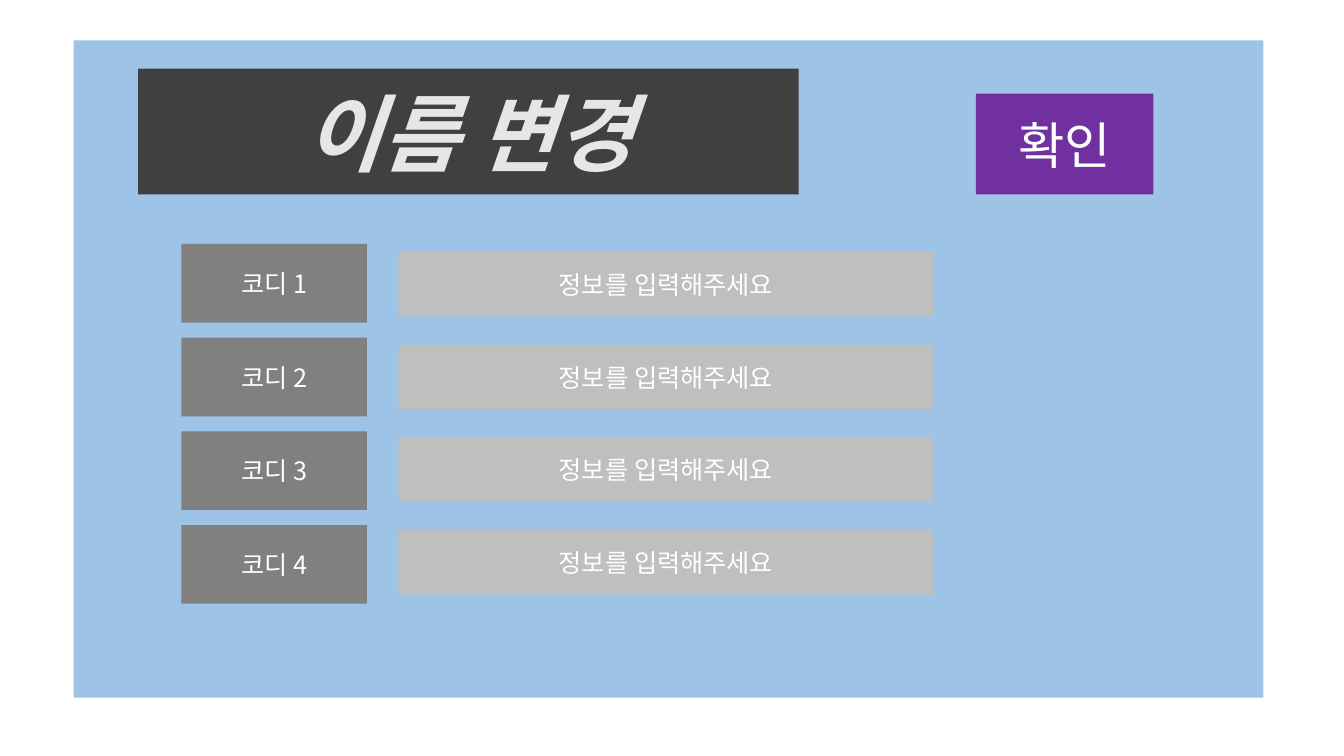
from lxml.etree import SubElement
from pptx import Presentation
from pptx.dml.color import RGBColor as RGB
from pptx.enum.shapes import MSO_SHAPE as Shape
from pptx.enum.text import MSO_ANCHOR as Anchor, PP_ALIGN as Align
from pptx.oxml.ns import qn
from pptx.util import Inches, Pt

WIDTH, HEIGHT = 13.33, 7.5
FACE = "Noto Sans CJK KR"
SKY = RGB(0x9D, 0xC3, 0xE6)
DARK = RGB(0x40, 0x40, 0x40)
GRAY = RGB(0x80, 0x80, 0x80)
SILVER = RGB(0xBF, 0xBF, 0xBF)
PURPLE = RGB(0x70, 0x30, 0xA0)
PALE = RGB(0xE7, 0xE6, 0xE6)
WHITE = RGB(0xFF, 0xFF, 0xFF)
ROWS = 4
LABEL_TOP, LABEL_STEP = 2.42, 0.93
FIELD_TOP, FIELD_STEP = 2.5, 0.92


def add_box(slide, area, fill):
    """Add a plain filled rectangle at left, top, width, height in inches."""
    box = slide.shapes.add_shape(Shape.RECTANGLE, *map(Inches, area))
    box.shadow.inherit = False
    box.fill.solid()
    box.fill.fore_color.rgb = fill
    box.line.fill.background()
    return box


def add_label(slide, area, fill, text, size=18, color=WHITE, strong=None):
    """Add a rectangle with centred text."""
    frame = add_box(slide, area, fill).text_frame
    frame.word_wrap = True
    frame.vertical_anchor = Anchor.MIDDLE
    para = frame.paragraphs[0]
    para.text = text
    para.alignment = Align.CENTER
    font = para.font
    font.name, font.size = FACE, Pt(size)
    font.bold = font.italic = strong
    font.color.rgb = color
    props = para._p.pPr.find(qn("a:defRPr"))
    SubElement(props, qn("a:ea")).set("typeface", FACE)


def add_form(slide):
    """Add the rows of labels and input fields."""
    for row in range(ROWS):
        top = LABEL_TOP + row * LABEL_STEP
        add_label(slide, (1.8, top, 1.84, 0.78), GRAY, f"코디 {row + 1}")
        top = FIELD_TOP + row * FIELD_STEP
        add_label(slide, (3.95, top, 5.31, 0.64), SILVER, "정보를 입력해주세요")


def main():
    """Build the rename screen and save it."""
    deck = Presentation()
    deck.slide_width, deck.slide_height = Inches(WIDTH), Inches(HEIGHT)
    slide = deck.slides.add_slide(deck.slide_layouts[6])
    add_box(slide, (0.73, 0.4, 11.8, 6.52), SKY)
    add_label(slide, (1.37, 0.68, 6.55, 1.25), DARK, "이름 변경", 60, PALE, True)
    add_form(slide)
    add_label(slide, (9.68, 0.93, 1.76, 1), PURPLE, "확인", 36)
    deck.save("out.pptx")


main()
